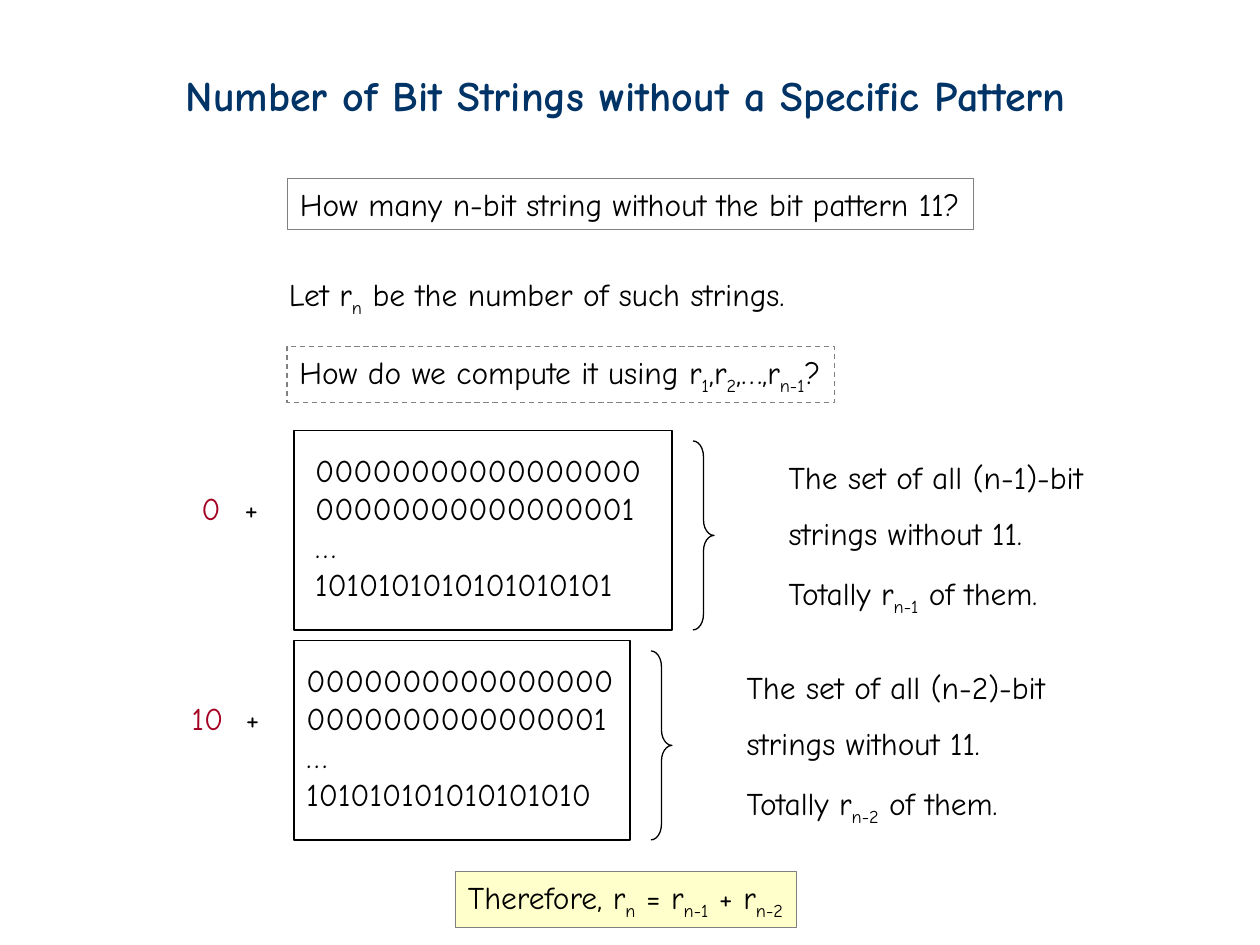
from dataclasses import dataclass
from typing import Optional

from pptx import Presentation
from pptx.dml.color import RGBColor
from pptx.enum.dml import MSO_LINE
from pptx.enum.shapes import MSO_SHAPE
from pptx.enum.text import MSO_ANCHOR, MSO_AUTO_SIZE, PP_ALIGN
from pptx.util import Pt

COLORS = {
    "title": "003366",
    "text": "000000",
    "prefix": "A50021",
    "frame": "808080",
    "outline": "000000",
    "result": "FFFFCC",
}
FRAME_FORMAT = {
    "word_wrap": False,
    "auto_size": MSO_AUTO_SIZE.SHAPE_TO_FIT_TEXT,
    "vertical_anchor": MSO_ANCHOR.TOP,
    "margin_left": Pt(7.2),
    "margin_right": Pt(7.2),
    "margin_top": Pt(3.6),
    "margin_bottom": Pt(3.6),
}
ROW_HEIGHT = 29
SUBSCRIPT_ROW_HEIGHT = 32


@dataclass
class Box:
    left: float
    top: float
    width: float
    height: float

    def lengths(self) -> list:
        return [Pt(v) for v in (self.left, self.top, self.width, self.height)]


@dataclass
class Statement:
    box: Box
    lines: list
    color: str = "text"
    size: float = 18
    bold: bool = False
    spacing: Optional[float] = None
    line: Optional[str] = None
    dash: Optional[MSO_LINE] = None
    fill: Optional[str] = None


@dataclass
class StringGroup:
    top: float
    width: float
    prefix: str
    prefix_left: float
    prefix_width: float
    plus_left: float
    digits_left: float
    digits_width: float
    strings: list
    length: str


STATEMENTS = [
    Statement(Box(99, 36, 518, 36),
              ["Number of Bit Strings without a Specific Pattern"],
              color="title", size=24, bold=True),
    Statement(Box(164.3, 102, 392, ROW_HEIGHT),
              ["How many n-bit string without the bit pattern 11?"],
              line="frame"),
    Statement(Box(158, 153.5, 298, SUBSCRIPT_ROW_HEIGHT),
              ["Let r[n] be the number of such strings."]),
    Statement(Box(164, 198, 313, SUBSCRIPT_ROW_HEIGHT),
              ["How do we compute it using r[1],r[2],…,r[n-1]?"],
              line="frame", dash=MSO_LINE.DASH),
    Statement(Box(260.3, 498, 195, SUBSCRIPT_ROW_HEIGHT),
              ["Therefore, r[n] = r[n-1] + r[n-2]"],
              line="frame", fill="result"),
]
GROUPS = [
    StringGroup(246, 216, "0", 108, 25.2, 132.5, 173, 202,
                ["0" * 17, "0" * 16 + "1", "…", "10" * 9 + "1"], "n-1"),
    StringGroup(366, 192, "10", 102.5, 33, 133.2, 168, 193,
                ["0" * 16, "0" * 15 + "1", "…", "10" * 9], "n-2"),
]


def rgb(name: str) -> RGBColor:
    return RGBColor.from_string(COLORS[name])


def apply_format(target, values: dict) -> None:
    for name, value in values.items():
        setattr(target, name, value)


def draw_outline(slide, preset, box: Box, line: str, fill=None, dash=None):
    outline = slide.shapes.add_shape(preset, *box.lengths())
    outline.shadow.inherit = False
    if fill:
        outline.fill.solid()
        outline.fill.fore_color.rgb = rgb(fill)
    else:
        outline.fill.background()
    outline.line.color.rgb = rgb(line)
    apply_format(outline.line, {"width": Pt(0.75), "dash_style": dash})
    return outline


def draw_statement(slide, statement: Statement) -> None:
    if statement.line:
        holder = draw_outline(slide, MSO_SHAPE.RECTANGLE, statement.box,
                              statement.line, statement.fill, statement.dash)
    else:
        holder = slide.shapes.add_textbox(*statement.box.lengths())
    frame = holder.text_frame
    apply_format(frame, FRAME_FORMAT)
    font_format = {"name": "Comic Neue", "size": Pt(statement.size),
                   "bold": statement.bold}
    for row, line in enumerate(statement.lines):
        paragraph = frame.add_paragraph() if row else frame.paragraphs[0]
        paragraph.alignment = PP_ALIGN.LEFT
        if row and statement.spacing:
            paragraph.line_spacing = statement.spacing
        for index, part in enumerate(line.replace("]", "[").split("[")):
            if not part:
                continue
            run = paragraph.add_run()
            run.text = part
            apply_format(run.font, font_format)
            run.font.color.rgb = rgb(statement.color)
            if index % 2:
                run.font._element.set("baseline", "-25000")


def draw_group(slide, group: StringGroup) -> None:
    frame = Box(168, group.top, group.width, 114)
    right = frame.left + frame.width
    draw_outline(slide, MSO_SHAPE.RECTANGLE, frame, "outline")
    brace = draw_outline(slide, MSO_SHAPE.RIGHT_BRACE,
                         Box(right + 12, group.top + 6, 12, 108), "outline")
    brace.adjustments[0] = 0.75
    sign_top = group.top + 30
    description = [f"The set of all ({group.length})-bit",
                   "strings without 11.",
                   f"Totally r[{group.length}] of them."]
    for statement in (
        Statement(Box(group.prefix_left, sign_top, group.prefix_width,
                      ROW_HEIGHT), [group.prefix], color="prefix"),
        Statement(Box(group.plus_left, sign_top, 22.3, ROW_HEIGHT), ["+"]),
        Statement(Box(group.digits_left, group.top + 8.3,
                      group.digits_width, 93.6), group.strings),
        Statement(Box(right + 59.5, group.top + 12, 190, 98),
                  description, spacing=1.5),
    ):
        draw_statement(slide, statement)


def main() -> None:
    presentation = Presentation()
    apply_format(presentation, {"slide_width": Pt(720),
                                "slide_height": Pt(540)})
    slide = presentation.slides.add_slide(presentation.slide_layouts[6])
    for statement in STATEMENTS:
        draw_statement(slide, statement)
    for group in GROUPS:
        draw_group(slide, group)
    presentation.save("out.pptx")


if __name__ == "__main__":
    main()
